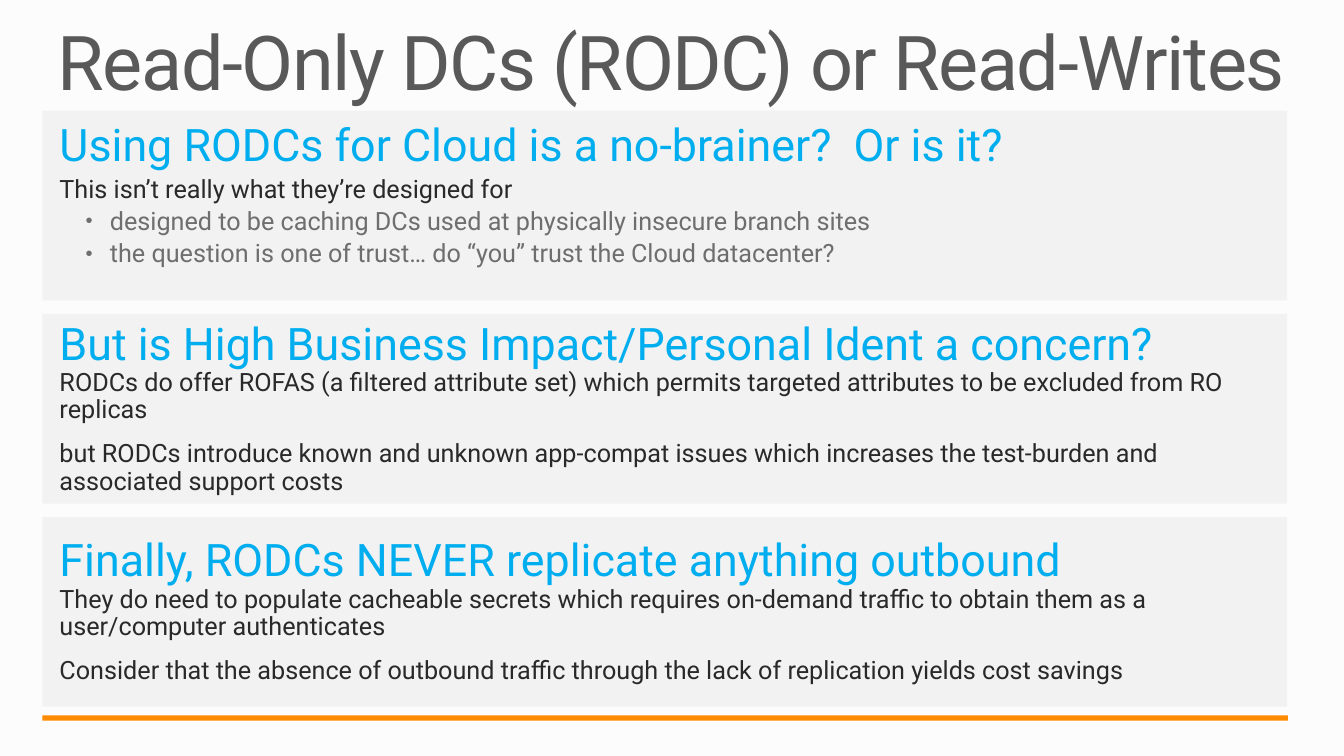
from lxml.etree import SubElement
from pptx import Presentation
from pptx.dml.color import RGBColor
from pptx.enum.shapes import MSO_SHAPE
from pptx.enum.text import MSO_AUTO_SIZE
from pptx.oxml.ns import qn
from pptx.util import Cm, Pt

TITLE = "Read-Only DCs (RODC) or Read-Writes"
PANELS = [
    {"inset": 0.31, "width": 30.96, "height": 3.86, "lines": [
        ("heading", "Using RODCs for Cloud is a no-brainer?  Or is it?"),
        ("lead", "This isn’t really what they’re designed for"),
        ("bullet", "designed to be caching DCs used at physically insecure branch sites"),
        ("bullet", "the question is one of trust… do “you” trust the Cloud datacenter?"),
    ]},
    {"inset": 0.19, "width": 30.71, "height": 4.42, "lines": [
        ("heading", "But is High Business Impact/Personal Ident a concern?"),
        ("body", "RODCs do offer ROFAS (a filtered attribute set) which permits targeted "
                 "attributes to be excluded from RO replicas"),
        ("body", "but RODCs introduce known and unknown app-compat issues which increases "
                 "the test-burden and associated support costs"),
    ]},
    {"inset": 0.53, "width": 28.78, "height": 3.73, "lines": [
        ("heading", "Finally, RODCs NEVER replicate anything outbound"),
        ("body", "They do need to populate cacheable secrets which requires on-demand "
                 "traffic to obtain them as a user/computer authenticates"),
        ("body", "Consider that the absence of outbound traffic through the lack of "
                 "replication yields cost savings"),
    ]},
]

THEME = {
    "font": "Roboto",
    "background": "FCFCFC",
    "panel": "F2F2F2",
    "accent": "FF8A00",
    "styles": {
        "title": {"size": 54, "color": "595959", "spacing": -100},
        "heading": {"size": 32, "color": "00AEEF", "before": 20},
        "lead": {"size": 18, "color": "292929", "before": 20},
        "body": {"size": 18, "color": "292929", "after": 12},
        "bullet": {"size": 18, "color": "6E6E6E", "before": 20, "bullet": "•"},
    },
}

SLIDE_W, SLIDE_H = 33.87, 19.05
PANEL_X, PANEL_Y, PANEL_W, PANEL_H = 1.07, 2.79, 31.37, 4.78
PANEL_PITCH = 5.12
TEXT_X = 1.5


def add_block(slide, color, x, y, w, h):
    sp = slide.shapes.add_shape(MSO_SHAPE.RECTANGLE, Cm(x), Cm(y), Cm(w), Cm(h))
    sp.shadow.inherit = False
    sp.fill.solid()
    sp.fill.fore_color.rgb = RGBColor.from_string(color)
    sp.line.fill.background()


def write_line(p, style_name, text):
    style = THEME["styles"][style_name]
    r = p.add_run()
    r.text = text
    for name, value in {"name": THEME["font"], "size": Pt(style["size"])}.items():
        setattr(r.font, name, value)
    r.font.color.rgb = RGBColor.from_string(style["color"])
    if "spacing" in style:
        r.font._element.set("spc", str(style["spacing"]))

    spacing = {"line_spacing": 0.9, "space_before": Pt(0),
               "space_after": Pt(style.get("after", 0))}
    for name, value in spacing.items():
        setattr(p, name, value)
    pPr = p._p.get_or_add_pPr()
    if "before" in style:
        before = pPr.find(qn("a:spcBef"))
        before.clear()
        SubElement(before, qn("a:spcPct"), val=str(style["before"] * 1000))
    if "bullet" in style:
        p.level = 1
        pPr.set("marL", str(Cm(1.27)))
        pPr.set("indent", str(Cm(-0.61)))
        SubElement(pPr, qn("a:buSzPct"), val="80000")
        SubElement(pPr, qn("a:buFont"), typeface="Arial")
        SubElement(pPr, qn("a:buChar"), char=style["bullet"])


def add_text(slide, lines, x, y, w, h):
    tf = slide.shapes.add_textbox(Cm(x), Cm(y), Cm(w), Cm(h)).text_frame
    frame = {"word_wrap": True, "auto_size": MSO_AUTO_SIZE.SHAPE_TO_FIT_TEXT,
             "margin_left": 0, "margin_right": 0, "margin_top": 0, "margin_bottom": 0}
    for name, value in frame.items():
        setattr(tf, name, value)
    for i, (style_name, text) in enumerate(lines):
        p = tf.add_paragraph() if i else tf.paragraphs[0]
        write_line(p, style_name, text)


def main():
    prs = Presentation()
    prs.slide_width, prs.slide_height = Cm(SLIDE_W), Cm(SLIDE_H)
    s = prs.slides.add_slide(prs.slide_layouts[6])
    s.background.fill.solid()
    s.background.fill.fore_color.rgb = RGBColor.from_string(THEME["background"])

    add_text(s, [("title", TITLE)], 1.45, 0.64, 30.96, 2.08)
    for i, panel in enumerate(PANELS):
        y = PANEL_Y + i * PANEL_PITCH
        add_block(s, THEME["panel"], PANEL_X, y, PANEL_W, PANEL_H)
        add_text(s, panel["lines"], TEXT_X, y + panel["inset"],
                 panel["width"], panel["height"])
    add_block(s, THEME["accent"], PANEL_X, 18.03, 31.39, 0.13)
    prs.save("out.pptx")


if __name__ == "__main__":
    main()
